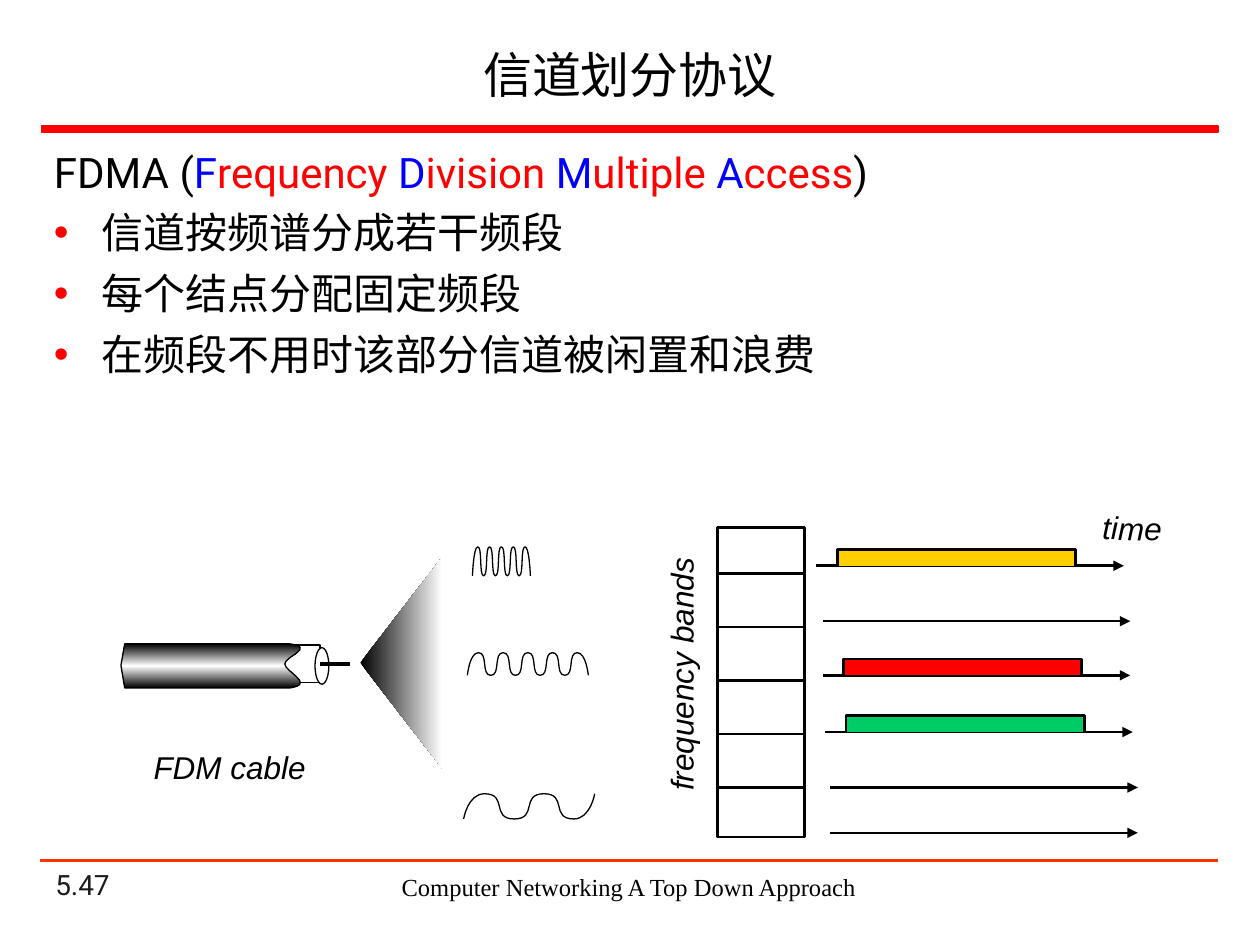
from dataclasses import dataclass

from lxml import etree
from pptx import Presentation
from pptx.dml.color import RGBColor
from pptx.enum.shapes import MSO_CONNECTOR, MSO_SHAPE
from pptx.enum.text import MSO_ANCHOR, MSO_AUTO_SIZE, PP_ALIGN
from pptx.oxml.ns import qn
from pptx.util import Inches, Pt

RECT, OVAL = MSO_SHAPE.RECTANGLE, MSO_SHAPE.OVAL
STRAIGHT = MSO_CONNECTOR.STRAIGHT
TOP, MIDDLE, BOTTOM = MSO_ANCHOR.TOP, MSO_ANCHOR.MIDDLE, MSO_ANCHOR.BOTTOM
LEFT, CENTER = PP_ALIGN.LEFT, PP_ALIGN.CENTER
COLS, ROWS = 100, 75  # grid cells are a tenth of an inch


@dataclass(frozen=True)
class Theme:
    black: str = "000000"
    white: str = "FFFFFF"
    red: str = "FF0000"
    blue: str = "0000FF"
    amber: str = "FFCF01"
    green: str = "00CC66"
    rule: str = "FF3300"
    number: str = "1C1C1C"
    main: str = "Roboto"
    label: str = "Arial"
    footer: str = "Times New Roman"
    title_size: int = 28
    body_size: int = 24
    label_size: int = 18
    number_size: int = 16
    footer_size: int = 14
    thin: float = 0.75
    medium: float = 1.5
    thick: float = 2.25


def grid(*cells):
    return [Inches(c / 10) for c in cells]


def add_node(parent, tag, **attrs):
    return etree.SubElement(parent, qn(tag), attrs)


class Deck:
    def __init__(self, theme):
        self.theme = theme
        self.prs = Presentation()
        self.prs.slide_width, self.prs.slide_height = grid(COLS, ROWS)
        self.s = self.prs.slides.add_slide(self.prs.slide_layouts[6])

    def style(self, sp, fill=None, line=None, width=1):
        """Fill is a colour, a list of gradient colours with an angle, or None."""
        sp.shadow.inherit = False
        if fill is None:
            sp.fill.background()
        elif isinstance(fill, str):
            sp.fill.solid()
            sp.fill.fore_color.rgb = RGBColor.from_string(fill)
        else:
            colors, angle = fill
            sp.fill.gradient()
            sp.fill.gradient_angle = angle
            stops = sp._element.spPr.find(".//" + qn("a:gsLst"))
            for stop in list(stops):
                stops.remove(stop)
            for i, color in enumerate(colors):
                stop = add_node(stops, "a:gs", pos=str(100000 * i // (len(colors) - 1)))
                add_node(stop, "a:srgbClr", val=color)
        if line is None:
            sp.line.fill.background()
        else:
            sp.line.color.rgb = RGBColor.from_string(line)
            sp.line.width = Pt(width)

    def shape(self, kind, x, y, w, h, **look):
        self.style(self.s.shapes.add_shape(kind, *grid(x, y, w, h)), **look)

    def outline(self, start, *segments, closed=False, **look):
        """A segment is one point for a line, or three for a cubic curve."""
        builder = self.s.shapes.build_freeform(*grid(*start))
        builder.add_line_segments([grid(*p) for seg in segments for p in seg], close=closed)
        sp = builder.convert_to_shape()
        nodes = iter(sp._element.spPr.findall(".//" + qn("a:lnTo")))
        for seg in segments:
            lines = [next(nodes) for _ in seg]
            if len(seg) == 3:
                curve = etree.Element(qn("a:cubicBezTo"))
                lines[0].addprevious(curve)
                for node in lines:
                    curve.append(node[0])
                    node.getparent().remove(node)
        self.style(sp, **look)

    def line(self, x1, y1, x2, y2, color=None, width=None, arrow=False):
        sp = self.s.shapes.add_connector(STRAIGHT, *grid(x1, y1, x2, y2))
        sp.line.color.rgb = RGBColor.from_string(color or self.theme.black)
        sp.line.width = Pt(width or self.theme.medium)
        spPr = sp._element.spPr
        if arrow:
            add_node(spPr.find(qn("a:ln")), "a:tailEnd", type="triangle")
        add_node(spPr, "a:effectLst")

    def wave(self, left, right, top, bottom, points, end=0.9, pull=0.8):
        """Curve from the bottom; end is the outer gap as a share of an inner one."""
        gap = (right - left) / (points - 3 + 2 * end)
        xs = [left] + [left + (end + i) * gap for i in range(points - 2)] + [right]
        ys = [top if i % 2 else bottom for i in range(points)]
        curves = []
        last = points - 2
        for i in range(points - 1):
            x0, x1, y0, y1 = xs[i], xs[i + 1], ys[i], ys[i + 1]
            reach = pull * (x1 - x0)
            curves.append([(x0 + reach if i else x0, y0),
                           (x1 if i == last else x1 - reach, y1), (x1, y1)])
        self.outline((left, bottom), *curves, line=self.theme.black, width=self.theme.thin)

    def text(self, paragraphs, x, y, w, h, *, size, font, color=None, align=LEFT,
             anchor=TOP, italic=False, wrap=True, rotation=0, gap=0):
        """Each paragraph is a bulleted string or a list of (text, colour) runs."""
        color = color or self.theme.black
        sp = self.s.shapes.add_textbox(*grid(x, y, w, h))
        sp.rotation = rotation
        tf = sp.text_frame
        tf.word_wrap, tf.vertical_anchor = wrap, anchor
        tf.auto_size = MSO_AUTO_SIZE.NONE if wrap else MSO_AUTO_SIZE.SHAPE_TO_FIT_TEXT
        for i, runs in enumerate(paragraphs):
            p = tf.add_paragraph() if i else tf.paragraphs[0]
            if isinstance(runs, str):
                self.bullet(p)
                runs = [(runs, color)]
            p.alignment = align
            if i:
                p.space_before = Pt(gap)
            for words, run_color in runs:
                r = p.add_run()
                r.text = words
                r.font.size, r.font.name, r.font.italic = Pt(size), font, italic
                r.font.color.rgb = RGBColor.from_string(run_color or color)

    def bullet(self, p):
        pPr = p._p.get_or_add_pPr()
        indent = Inches(0.38)
        pPr.set("marL", str(indent))
        pPr.set("indent", str(-indent))
        add_node(add_node(pPr, "a:buClr"), "a:srgbClr", val=self.theme.red)
        add_node(pPr, "a:buFont", typeface=self.theme.label)
        add_node(pPr, "a:buChar", char="•")

    def label(self, words, x, y, w, rotation=0):
        self.text([[(words, None)]], x, y, w, 4, size=self.theme.label_size,
                  font=self.theme.label, italic=True, wrap=False, rotation=rotation)


def add_frame(deck, t):
    deck.text([[("5.47", t.number)]], 3.4, 69.8, 20.8, 2.2,
              size=t.number_size, font=t.main, anchor=BOTTOM)
    deck.shape(RECT, 3.3, 10, 93.4, 0.5, fill=t.red, line=t.red)
    deck.line(3.2, 68.3, 96.7, 68.3, color=t.rule)
    deck.text([[("Computer Networking A Top Down Approach", None)]], 29.5, 68.7, 40.8, 3.4,
              size=t.footer_size, font=t.footer, align=CENTER)
    deck.text([[("信道划分协议", None)]], 3.3, 2.4, 93.4, 7,
              size=t.title_size, font=t.main, align=CENTER, anchor=MIDDLE)


def add_body(deck, t):
    heading = [("FDMA (", t.black)]
    for word in ("Frequency ", "Division ", "Multiple ", "Access"):
        heading += [(word[0], t.blue), (word[1:], t.red)]
    heading.append((")", t.black))
    deck.text([heading, "信道按频谱分成若干频段", "每个结点分配固定频段",
               "在频段不用时该部分信道被闲置和浪费"],
              3.3, 11.1, 93.5, 23.5, size=t.body_size, font=t.main, gap=6)


def add_bands(deck, t):
    deck.shape(RECT, 56.95, 41.85, 6.9, 24.6, fill=t.white, line=t.black, width=t.medium)
    for i in range(5):
        y = 45.5 + 4.25 * i
        deck.line(56.9, y, 63.8, y)
    arrows = [(64.8, 44.9, t.amber), (65.3, 49.3, None), (65.3, 53.6, t.red),
              (65.5, 58.1, t.green), (65.9, 62.5, None), (65.9, 66.1, None)]
    for x, y, color in arrows:
        deck.line(x, y, x + 24.4, y, arrow=True)
        if color:
            left, right, top = x + 1.65, x + 20.55, y - 1.3
            deck.outline((left, y), [(left, top)], [(right, top)], [(right, y)],
                         fill=color, line=t.black, width=t.medium)
    deck.label("frequency bands", 43.8, 51.5, 20.5, rotation=270)
    deck.label("time", 86.5, 39.9, 6.7, rotation=1.1)


def add_cable(deck, t):
    ink = {"line": t.black, "width": t.thin}
    deck.outline((35.1, 44.2), [(28.6, 52.6)], [(35.1, 61)], closed=True,
                 fill=([t.black, t.white], 0))
    deck.shape(RECT, 22.5, 51.2, 2.9, 3, fill=t.white, **ink)
    deck.outline((9.9, 51.1), [(9.6, 52.8)], [(9.9, 54.6)], [(23, 54.6)],
                 [(25.1, 54.3), (22.6, 53.3), (22.6, 52.7)],
                 [(22.6, 52.1), (25.1, 51.4), (23, 51.1)],
                 closed=True, fill=([t.black, t.white, t.black], 270), **ink)
    deck.shape(OVAL, 25, 51.4, 1.1, 2.9, fill=t.white, **ink)
    deck.line(25.4, 52.7, 27.8, 52.7, width=t.thick)
    deck.wave(37.1, 46.7, 51.8, 53.6, points=11)
    deck.wave(37.5, 42.1, 43.4, 45.7, points=11)
    deck.wave(36.8, 47.2, 63, 65, points=6, end=0.7)
    deck.label("FDM cable", 11.2, 58.9, 14.1)


def main():
    theme = Theme()
    deck = Deck(theme)
    for add_part in (add_frame, add_body, add_bands, add_cable):
        add_part(deck, theme)
    deck.prs.save("out.pptx")


if __name__ == "__main__":
    main()
